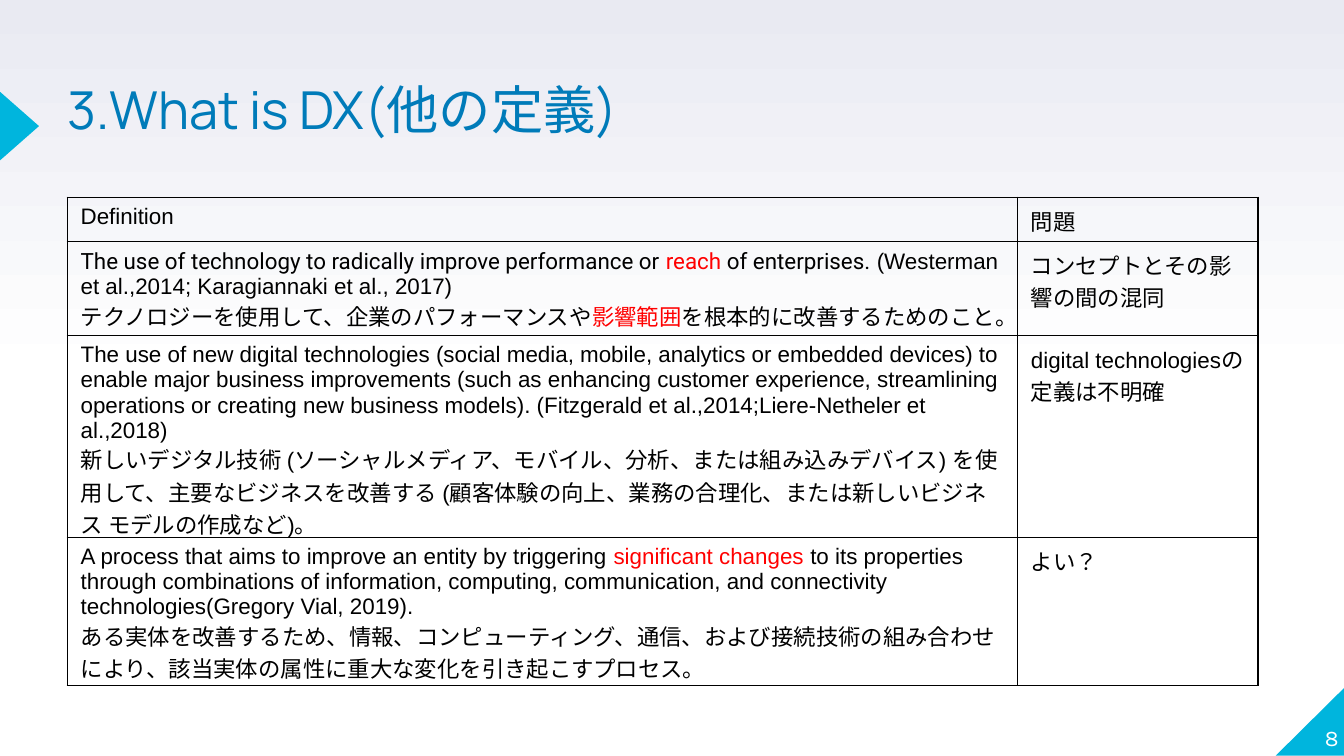
from copy import deepcopy
from lxml.etree import SubElement
from pptx import Presentation
from pptx.dml.color import RGBColor
from pptx.enum.lang import MSO_LANGUAGE_ID
from pptx.enum.shapes import MSO_SHAPE
from pptx.enum.text import MSO_ANCHOR, PP_ALIGN
from pptx.oxml.ns import qn
from pptx.util import Inches, Pt

WIDTH = Inches(10)
HEIGHT = WIDTH * 9 // 16
CYAN, BLUE, RED, BLACK, WHITE = "00B5DD", "007BB9", "FF0000", "000000", "FFFFFF"

COLUMN_PERCENTS = (79.8, 20.2)
ROW_PERCENTS = (9.1, 18.2, 15.15, 18.2)
ROWS = [
    ([["Definition"]], [["問題"]]),
    (
        [
            [
                ("The use of technology to radically improve performance or ", {"font": "Roboto"}),
                ("reach", {"font": "Roboto", "color": RED}),
                (" of enterprises.", {"font": "Roboto"}),
                " (Westerman et al.,2014; Karagiannaki et al., 2017)",
            ],
            [
                "テクノロジーを使用して、企業のパフォーマンスや",
                ("影響範囲", {"color": RED}),
                "を根本的に改善するためのこと。",
            ],
        ],
        [["コンセプトとその影響の間の混同"]],
    ),
    (
        [
            [
                "The use of new digital technologies (social media, mobile, analytics or embedded devices) "
                "to enable major business improvements (such as enhancing customer experience, streamlining "
                "operations or creating new business models). "
                "(Fitzgerald et al.,2014;Liere-Netheler et al.,2018)"
            ],
            [
                "新しいデジタル技術 (ソーシャルメディア、モバイル、分析、または組み込みデバイス) を使用して、"
                "主要なビジネスを改善する (顧客体験の向上、業務の合理化、または新しいビジネス モデルの作成など)。"
            ],
        ],
        [["digital technologiesの定義は不明確"]],
    ),
    (
        [
            [
                "A process that aims to improve an entity by triggering ",
                ("significant changes ", {"color": RED}),
                "to its properties through combinations of information, computing, communication, "
                "and connectivity technologies(Gregory Vial, 2019).",
            ],
            [
                "ある実体を改善するため、情報、コンピューティング、通信、および接続技術の組み合わせにより、"
                "該当実体の属性に重大な変化を引き起こすプロセス。"
            ],
        ],
        [["よい？"]],
    ),
]


def rgb(value):
    return RGBColor.from_string(value)


def box(x, y, w, h):
    return [int(share * side / 100) for share, side in zip((x, y, w, h), (WIDTH, HEIGHT) * 2)]


def add_text(p, text, size=12, font="Arial", color=BLACK):
    r = p.add_run()
    r.text = text
    r.font.language_id = MSO_LANGUAGE_ID.JAPANESE
    r.font.size = Pt(size)
    r.font.name = font
    r.font.color.rgb = rgb(color)


def add_text_box(s, area, text, anchor=MSO_ANCHOR.TOP, align=PP_ALIGN.LEFT, spacing=1.0, **style):
    tf = s.shapes.add_textbox(*area).text_frame
    tf.word_wrap = True
    tf.vertical_anchor = anchor
    tf.margin_left = tf.margin_right = tf.margin_top = tf.margin_bottom = 0
    p = tf.paragraphs[0]
    p.alignment = align
    p.line_spacing = spacing
    add_text(p, text, **style)


def add_triangle(s, kind, area, rotation):
    sp = s.shapes.add_shape(kind, *area)
    sp.rotation = rotation
    sp.shadow.inherit = False
    sp.fill.solid()
    sp.fill.fore_color.rgb = rgb(CYAN)
    sp.line.fill.background()


def paint_background(s):
    fill = s.background.fill
    fill.gradient()
    fill.gradient_angle = 90
    stop = s.element.xpath(".//a:gs")[0]
    stop.addnext(deepcopy(stop))
    for stop, position, color in zip(fill.gradient_stops, (0, 0.5, 1), (WHITE, WHITE, "E9EAF2")):
        stop.position = position
        stop.color.rgb = rgb(color)


def add_marker(s, area):
    x, y, w, h = area
    add_triangle(s, MSO_SHAPE.ISOSCELES_TRIANGLE, (x + (w - h) // 2, y + (h - w) // 2, h, w), 90)


def add_page_corner(s, area, number):
    x, y, w, h = area
    add_triangle(s, MSO_SHAPE.RIGHT_TRIANGLE, area, 270)
    inset = int(w * 0.08)
    add_text_box(s, (x - inset, y - inset, w, h), number, anchor=MSO_ANCHOR.BOTTOM,
                 align=PP_ALIGN.RIGHT, font="Karla", color=WHITE)


def add_borders(cell):
    tc_pr = cell._tc.get_or_add_tcPr()
    for index, side in enumerate(("lnL", "lnR", "lnT", "lnB")):
        ln = tc_pr.makeelement(qn(f"a:{side}"), {"w": str(Pt(0.75))})
        tc_pr.insert(index, ln)
        SubElement(SubElement(ln, qn("a:solidFill")), qn("a:srgbClr"), val=BLACK)


def fill_cell(cell, paragraphs):
    cell.fill.background()
    add_borders(cell)
    tf = cell.text_frame
    for i, runs in enumerate(paragraphs):
        p = tf.add_paragraph() if i else tf.paragraphs[0]
        for run in runs:
            text, style = (run, {}) if isinstance(run, str) else run
            add_text(p, text, **style)


def add_definitions(s, area):
    x, y, w, h = area
    frame = s.shapes.add_table(len(ROWS), len(COLUMN_PERCENTS), x, y, w, h)
    table = frame.table
    table.first_row = table.horz_banding = False
    for column, percent in zip(table.columns, COLUMN_PERCENTS):
        column.width = int(w * percent / 100)
    for row, percent, contents in zip(table.rows, ROW_PERCENTS, ROWS):
        row.height = int(h * percent / 100)
        for cell, paragraphs in zip(row.cells, contents):
            fill_cell(cell, paragraphs)
    frame.height = h


def main():
    prs = Presentation()
    prs.slide_width, prs.slide_height = WIDTH, HEIGHT
    s = prs.slides.add_slide(prs.slide_layouts[6])
    paint_background(s)
    add_page_corner(s, box(94.95, 90.93, 5.05, 9.07), "8")
    add_marker(s, box(0, 12.15, 2.9, 9.07))
    add_text_box(s, box(5, 11.78, 41.3, 8), "3.What is DX(他の定義)",
                 spacing=0.8, size=28, font="Manrope", color=BLUE)
    add_definitions(s, box(5, 26.1, 88.6, 64.5))
    prs.save("out.pptx")


if __name__ == "__main__":
    main()
